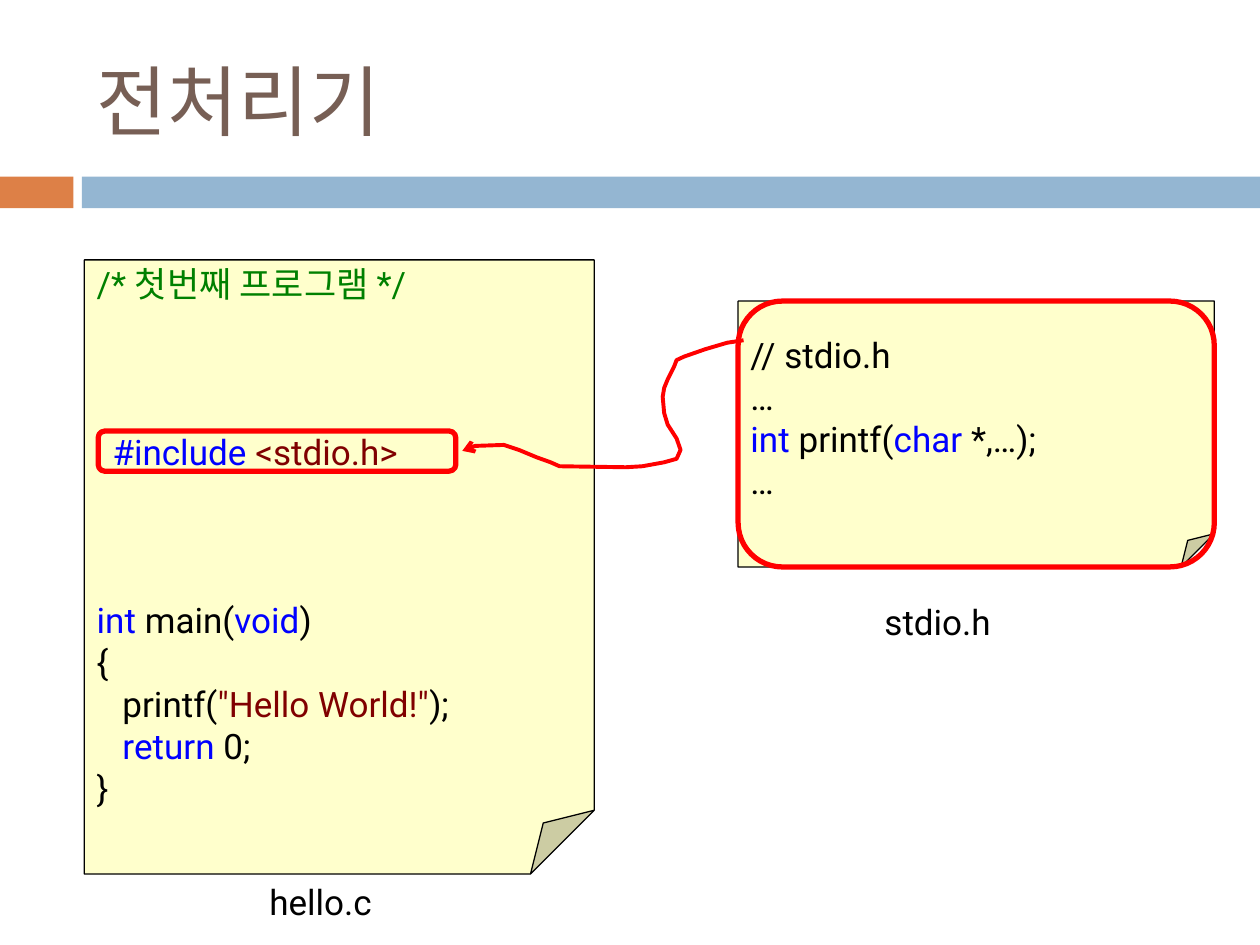
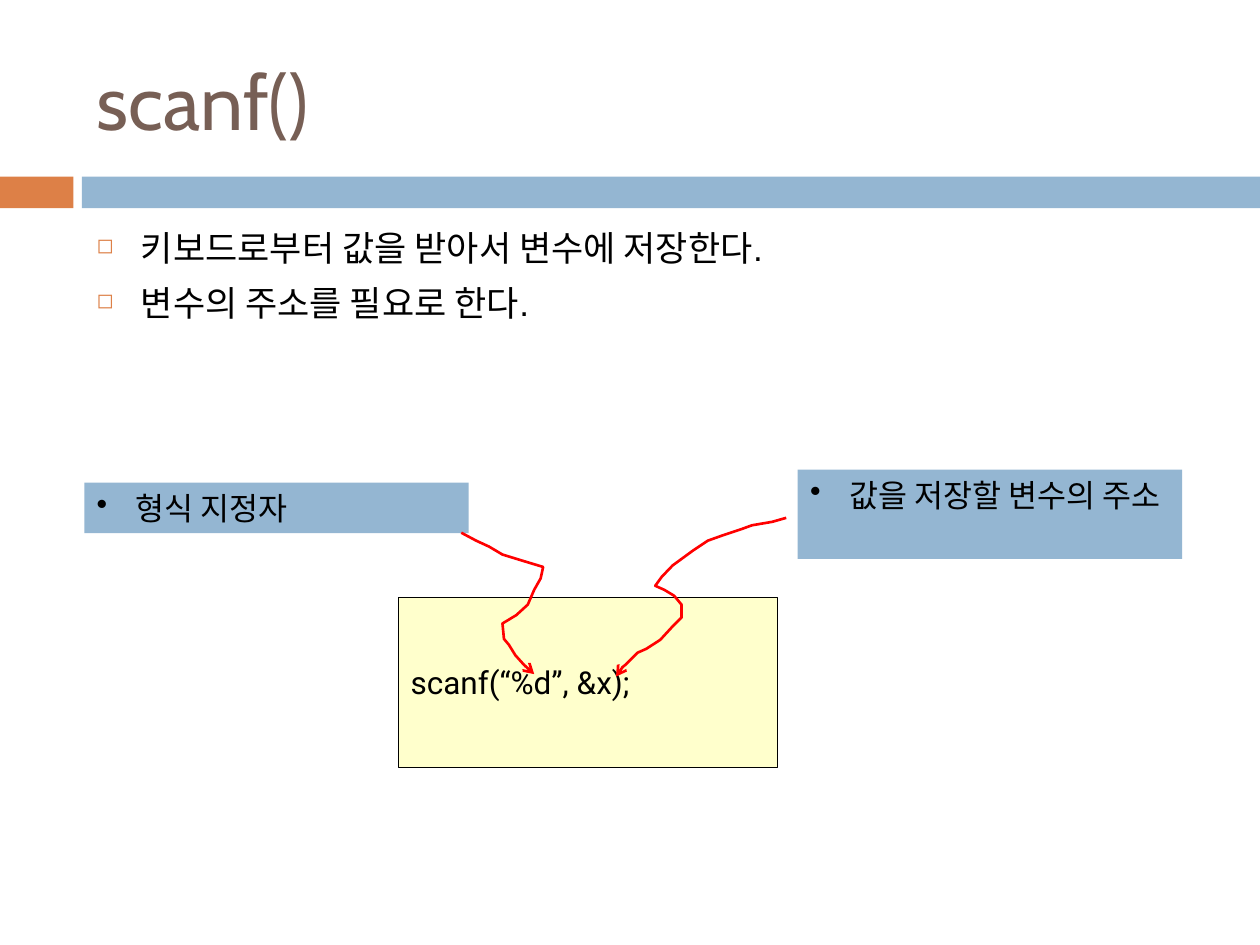
from lxml import etree
from pptx import Presentation
from pptx import util as u
from pptx.dml.color import RGBColor
from pptx.enum import shapes, text
from pptx.oxml.ns import qn

Cm, Pt = u.Cm, u.Pt
SHAPE = shapes.MSO_SHAPE
TOP, MIDDLE = text.MSO_ANCHOR.TOP, text.MSO_ANCHOR.MIDDLE

ORANGE = RGBColor(0xDD, 0x80, 0x47)
SKY = RGBColor(0x94, 0xB6, 0xD2)
BROWN = RGBColor(0x77, 0x5F, 0x55)
PAPER = RGBColor(0xFF, 0xFF, 0xCC)
BLACK = RGBColor(0, 0, 0)
RED = RGBColor(0xFF, 0, 0)
KEYWORD = RGBColor(0, 0, 0xFF)
STRING = RGBColor(0x80, 0, 0)
COMMENT = RGBColor(0, 0x80, 0)

TITLE_FONT, CODE_FONT, BODY_FONT = "Cabin", "Roboto", "Arial"
MARGIN = 1.7

INCLUDE_PATH = [
    (14.99, 6.86), (14.66, 6.91), (14.22, 7.04), (13.79, 7.19), (13.64, 7.26),
    (13.59, 7.39), (13.46, 7.65), (13.39, 7.82), (13.36, 8), (13.39, 8.33),
    (13.46, 8.56), (13.64, 8.84), (13.72, 9.07), (13.64, 9.25), (13.39, 9.32),
    (12.95, 9.4), (12.62, 9.42), (11.28, 9.4), (11.1, 9.32), (10.82, 9.22),
    (10.46, 9.07), (10.16, 8.97), (9.58, 8.99), (9.32, 9.09)]
ADDRESS_PATH = [
    (15.85, 10.44), (15.57, 10.52), (15.16, 10.59), (14.94, 10.67), (14.55, 10.8),
    (14.27, 10.9), (13.97, 11.1), (13.56, 11.4), (13.34, 11.63), (13.21, 11.81),
    (13.39, 11.89), (13.59, 12.01), (13.74, 12.19), (13.74, 12.45), (13.54, 12.65),
    (13.31, 12.9), (13.03, 13.08), (12.85, 13.16), (12.6, 13.41), (12.47, 13.51),
    (12.42, 13.64)]
FORMAT_PATH = [
    (9.3, 10.74), (9.6, 10.9), (9.86, 11.02), (10.13, 11.18), (10.52, 11.3),
    (10.95, 11.43), (10.9, 11.66), (10.77, 11.89), (10.64, 12.19), (10.41, 12.4),
    (10.13, 12.57), (10.16, 12.88), (10.26, 13), (10.39, 13.21), (10.57, 13.41),
    (10.77, 13.59)]


def add_box(s, kind, box, fill=None, line=None, width=0.75):
    """Add a preset shape; box is left, top, width, height in cm."""
    sp = s.shapes.add_shape(kind, *map(Cm, box))
    sp.shadow.inherit = False
    if fill is None:
        sp.fill.background()
    else:
        sp.fill.solid()
        sp.fill.fore_color.rgb = fill
    if line is None:
        sp.line.fill.background()
    else:
        sp.line.color.rgb = line
        sp.line.width = Pt(width)
    return sp


def add_text_box(s, box):
    return s.shapes.add_textbox(*map(Cm, box))


def write(sp, lines, font, size, anchor=MIDDLE):
    """Fill a shape; each line is a list of (text, colour) runs."""
    tf = sp.text_frame
    tf.word_wrap = True
    tf.vertical_anchor = anchor
    for i, runs in enumerate(lines):
        p = tf.add_paragraph() if i else tf.paragraphs[0]
        p.alignment = text.PP_ALIGN.LEFT
        for content, color in runs:
            r = p.add_run()
            r.text = content
            r.font.name = font
            r.font.size = Pt(size)
            r.font.color.rgb = color
    return tf.paragraphs


def indent(p, left, first=0):
    pPr = p._p.get_or_add_pPr()
    pPr.set("marL", str(Cm(left)))
    pPr.set("indent", str(Cm(first)))
    return pPr


def add_bullet(p, char, hang, color=None, percent=100):
    pPr = indent(p, hang, -hang)
    if color is not None:
        bu_color = etree.SubElement(pPr, qn("a:buClr"))
        etree.SubElement(bu_color, qn("a:srgbClr"), val=str(color))
    etree.SubElement(pPr, qn("a:buSzPct"), val=str(percent * 1000))
    etree.SubElement(pPr, qn("a:buChar"), char=char)


def add_curved_arrow(s, points, width):
    start, *rest = [(Cm(x), Cm(y)) for x, y in points]
    builder = s.shapes.build_freeform(*start)
    builder.add_line_segments(rest, close=False)
    sp = builder.convert_to_shape()
    sp.shadow.inherit = False
    sp.fill.background()
    sp.line.color.rgb = RED
    sp.line.width = Pt(width)
    etree.SubElement(sp.line._get_or_add_ln(), qn("a:tailEnd"), type="arrow")


def add_code_page(s, box, lines):
    """Add a sheet with a folded corner that holds code."""
    sp = add_box(s, SHAPE.FOLDED_CORNER, box, PAPER, BLACK)
    guides = sp._element.spPr.find(qn("a:prstGeom")).find(qn("a:avLst"))
    for guide in list(guides):
        guides.remove(guide)
    etree.SubElement(guides, qn("a:gd"), name="adj", fmla="val 12500")
    return write(sp, lines, CODE_FONT, 20)


def add_callout(s, box, label):
    sp = add_box(s, SHAPE.RECTANGLE, box, SKY)
    for p in write(sp, [[(label, BLACK)]], BODY_FONT, 18, TOP):
        add_bullet(p, "•", 0.79)


def add_file_name(s, left, top, name):
    write(add_text_box(s, (left, top, 2.9, 1.09)), [[(name, BLACK)]], CODE_FONT, 20, TOP)


def add_titled_slide(prs, title):
    s = prs.slides.add_slide(prs.slide_layouts[6])
    add_box(s, SHAPE.RECTANGLE, (0, 3.56, 1.48, 0.64), ORANGE)
    add_box(s, SHAPE.RECTANGLE, (1.65, 3.56, 23.75, 0.64), SKY)
    write(add_text_box(s, (MARGIN, 0.64, 22.66, 2.74)), [[(title, BROWN)]], TITLE_FONT, 44)
    return s


def preprocessor_slide(prs):
    s = add_titled_slide(prs, "전처리기")

    code = add_code_page(s, (MARGIN, 5.24, 10.28, 12.38), [
        [("/* 첫번째 프로그램 */", COMMENT)],
        [("int", KEYWORD), (" main(", BLACK), ("void", KEYWORD), (")", BLACK)],
        [("{", BLACK)],
        [("printf(", BLACK), ('"Hello World!"', STRING), (");", BLACK)],
        [("return", KEYWORD), (" 0;", BLACK)],
        [("}", BLACK)],
    ])
    code[1].space_before = Pt(168)
    for p in code[3:5]:
        indent(p, 0.52)

    include = add_box(s, SHAPE.ROUNDED_RECTANGLE, (1.98, 8.69, 7.21, 0.81), line=RED, width=3)
    write(include, [[("#include ", KEYWORD), ("<stdio.h>", STRING)]], CODE_FONT, 20)

    header_box = (14.88, 6.07, 9.6, 5.36)
    add_code_page(s, header_box, [
        [("// stdio.h", BLACK)],
        [("…", BLACK)],
        [("int", KEYWORD), (" printf(", BLACK), ("char", KEYWORD), (" *,…);", BLACK)],
        [("…", BLACK)],
    ])
    add_box(s, SHAPE.ROUNDED_RECTANGLE, header_box, line=RED, width=3)

    add_file_name(s, 17.58, 11.99, "stdio.h")
    add_file_name(s, 5.18, 17.63, "hello.c")
    add_curved_arrow(s, INCLUDE_PATH, 2.25)


def scanf_slide(prs):
    s = add_titled_slide(prs, "scanf()")

    body = add_text_box(s, (MARGIN, 4.45, 22.66, 12.5))
    points = ["키보드로부터 값을 받아서 변수에 저장한다.", "변수의 주소를 필요로 한다."]
    for p in write(body, [[(point, BLACK)] for point in points], BODY_FONT, 20, TOP):
        p.space_before = Pt(7)
        add_bullet(p, "◻", 0.89, ORANGE, 60)

    call = add_box(s, SHAPE.RECTANGLE, (8.03, 12.04, 7.65, 3.43), PAPER, BLACK)
    write(call, [[("scanf(“%d”, &x);", BLACK)]], CODE_FONT, 18)

    add_callout(s, (16.08, 9.47, 7.75, 1.8), "값을 저장할 변수의 주소")
    add_curved_arrow(s, ADDRESS_PATH, 1.5)
    add_callout(s, (MARGIN, 9.73, 7.75, 1.02), "형식 지정자")
    add_curved_arrow(s, FORMAT_PATH, 1.5)


def main():
    prs = Presentation()
    prs.slide_width, prs.slide_height = Cm(25.4), Cm(19.05)
    preprocessor_slide(prs)
    scanf_slide(prs)
    prs.save("out.pptx")


if __name__ == "__main__":
    main()
